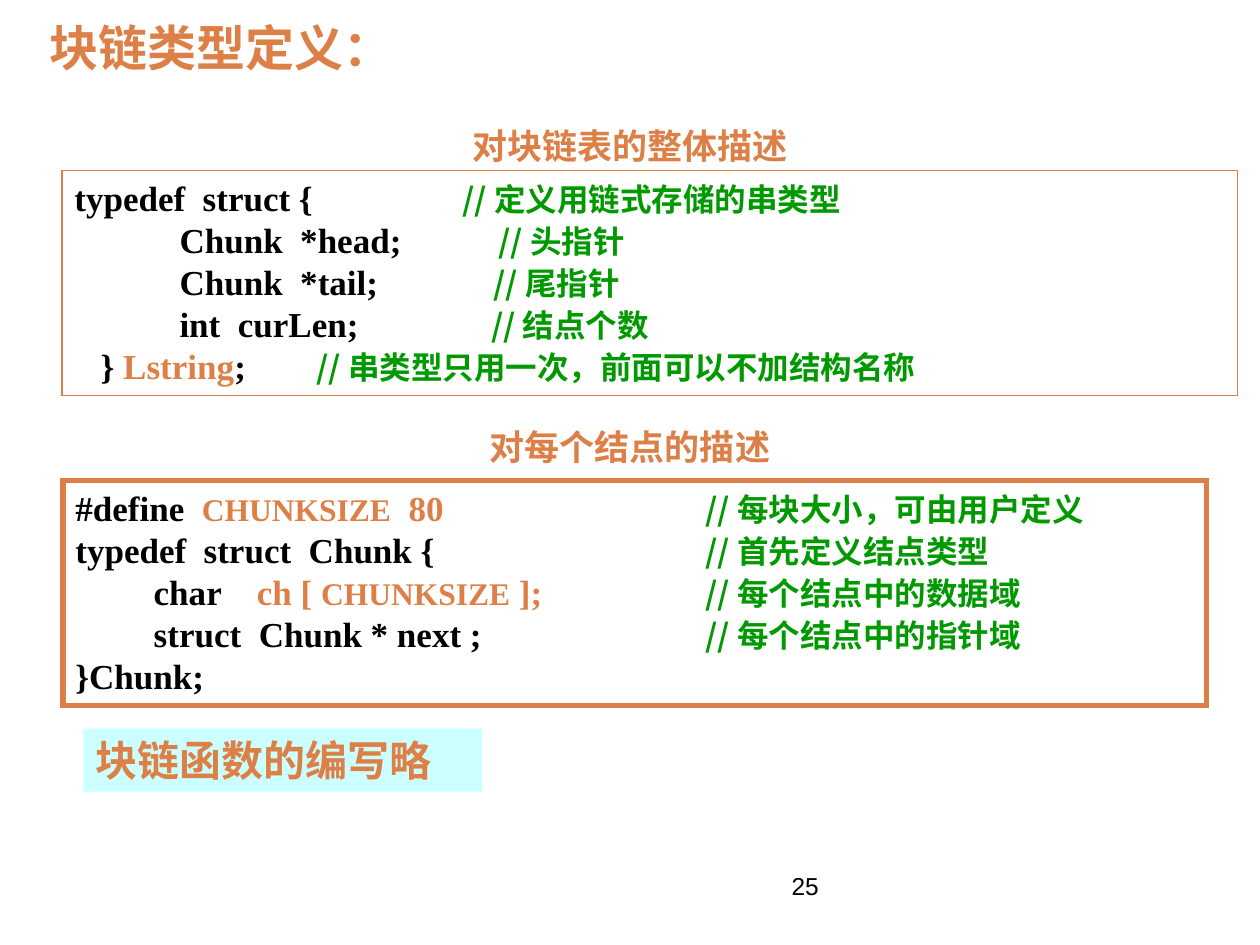
from dataclasses import dataclass

from lxml import etree
from pptx import Presentation
from pptx import util as u
from pptx.dml.color import RGBColor
from pptx.enum import shapes, text
from pptx.oxml import ns

ORANGE, GREEN, BLACK, CYAN = "DD8047", "009900", "000000", "CCFFFF"
SERIF, SANS, CJK = "Times New Roman", "Arial", "Noto Sans CJK SC"


@dataclass
class Span:
    words: str
    color: str = BLACK
    size: float = 20
    font: str = SERIF
    bold: bool = True


@dataclass
class Line:
    """A code line; tab stops are in centimetres from the text edge."""
    spans: list[Span]
    tabs: tuple[float, ...] = ()


@dataclass
class Place:
    left: float
    top: float
    width: float
    height: float

    def lengths(self) -> list[u.Cm]:
        return [u.Cm(v) for v in (self.left, self.top, self.width, self.height)]


def rgb(color: str) -> RGBColor:
    return RGBColor.from_string(color)


def comment(words: str) -> Span:
    return Span("\t//" + words, GREEN, 18, CJK)


def add_span(para, span: Span) -> None:
    run = para.add_run()
    run.text = span.words
    font = run.font
    font.size, font.bold, font.name = u.Pt(span.size), span.bold, span.font
    font.color.rgb = rgb(span.color)
    east_asian = etree.SubElement(run._r.get_or_add_rPr(), ns.qn("a:ea"))
    east_asian.set("typeface", CJK)


def set_tabs(para, tabs: tuple[float, ...]) -> None:
    if tabs:
        stops = etree.SubElement(para._p.get_or_add_pPr(), ns.qn("a:tabLst"))
        for position in tabs:
            etree.SubElement(stops, ns.qn("a:tab"), pos=str(u.Cm(position)), algn="l")


def fill_text(frame, lines: list[Line], align=text.PP_ALIGN.LEFT,
              anchor=text.MSO_ANCHOR.TOP, wrap: bool = True) -> None:
    frame.word_wrap = wrap
    frame.auto_size = text.MSO_AUTO_SIZE.NONE
    frame.vertical_anchor = anchor
    for index, line in enumerate(lines):
        para = frame.add_paragraph() if index else frame.paragraphs[0]
        para.alignment = align
        set_tabs(para, line.tabs)
        for span in line.spans:
            add_span(para, span)


def add_box(page, place: Place, lines: list[Line], fill: str = "",
            border: float = 0) -> None:
    box = page.shapes.add_shape(shapes.MSO_SHAPE.RECTANGLE, *place.lengths())
    box.shadow.inherit = False
    if fill:
        box.fill.solid()
        box.fill.fore_color.rgb = rgb(fill)
    else:
        box.fill.background()
    if border:
        box.line.color.rgb = rgb(ORANGE)
        box.line.width = u.Pt(border)
        outline = box.line._get_or_add_ln()
        etree.SubElement(outline, ns.qn("a:miter"), lim="800000")
    else:
        box.line.fill.background()
    fill_text(box.text_frame, lines)


def add_label(page, place: Place, span: Span, **options) -> None:
    label = page.shapes.add_textbox(*place.lengths())
    fill_text(label.text_frame, [Line([span])], **options)


def add_title(page, place: Place, span: Span) -> None:
    title = page.shapes.title
    title.left, title.top, title.width, title.height = place.lengths()
    fill_text(title.text_frame, [Line([span])], wrap=False)


MEMBER, FIELD, COMMENT = 2.12, 1.58, 12.7

STRING_TYPE = [
    Line([Span("typedef  struct {"), comment("定义用链式存储的串类型")], (7.82,)),
    Line([Span("\tChunk  *head;"), comment("头指针")], (MEMBER, 8.55)),
    Line([Span("\tChunk  *tail;"), comment("尾指针")], (MEMBER, 8.45)),
    Line([Span("\tint  curLen;"), comment("结点个数")], (MEMBER, 8.4)),
    Line([Span("\t} "), Span("Lstring", ORANGE), Span(";"),
          comment("串类型只用一次，前面可以不加结构名称")], (0.53, 4.88)),
]

NODE_TYPE = [
    Line([Span("#define  "), Span("CHUNKSIZE", ORANGE, 18), Span("  80", ORANGE),
          comment("每块大小，可由用户定义")], (COMMENT,)),
    Line([Span("typedef  struct  Chunk {"), comment("首先定义结点类型")], (COMMENT,)),
    Line([Span("\tchar"), Span("\tch [ ", ORANGE), Span("CHUNKSIZE", ORANGE, 18),
          Span(" ];", ORANGE), comment("每个结点中的数据域")], (FIELD, 3.66, COMMENT)),
    Line([Span("\tstruct  Chunk * next ;"), comment("每个结点中的指针域")],
         (FIELD, COMMENT)),
    Line([Span("}Chunk;")]),
]


def main() -> None:
    deck = Presentation()
    deck.slide_width, deck.slide_height = u.Cm(25.4), u.Cm(19.05)
    page = deck.slides.add_slide(deck.slide_layouts[5])

    add_title(page, Place(0.75, 0.23, 7.47, 1.45),
              Span("块链类型定义：", ORANGE, 28, CJK))
    headings = [(Place(9.24, 2.39, 6.93, 1.12), "对块链表的整体描述"),
                (Place(9.59, 8.46, 6.22, 1.12), "对每个结点的描述")]
    for place, words in headings:
        add_label(page, place, Span(words, ORANGE),
                  align=text.PP_ALIGN.CENTER, wrap=False)

    add_box(page, Place(1.25, 3.44, 23.7, 4.53), STRING_TYPE, border=0.75)
    add_box(page, Place(1.27, 9.69, 23.06, 4.53), NODE_TYPE, border=3)
    add_box(page, Place(1.68, 14.69, 8.04, 1.27),
            [Line([Span("块链函数的编写略", ORANGE, 24)])], fill=CYAN)
    add_label(page, Place(1.7, 17.35, 15.06, 1.02), Span("25", BLACK, 14, SANS, False),
              align=text.PP_ALIGN.RIGHT, anchor=text.MSO_ANCHOR.MIDDLE)
    deck.save("out.pptx")


if __name__ == "__main__":
    main()
